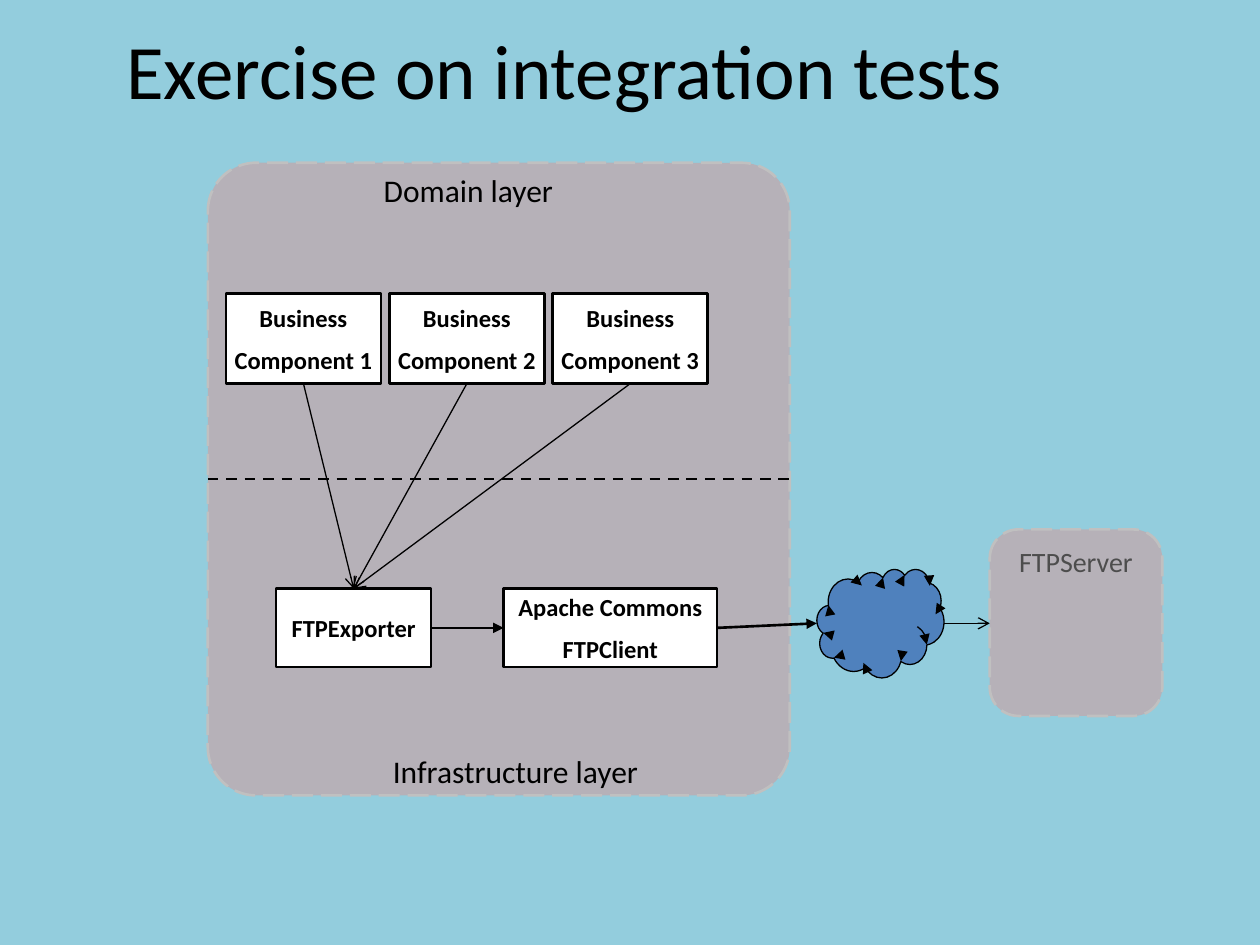
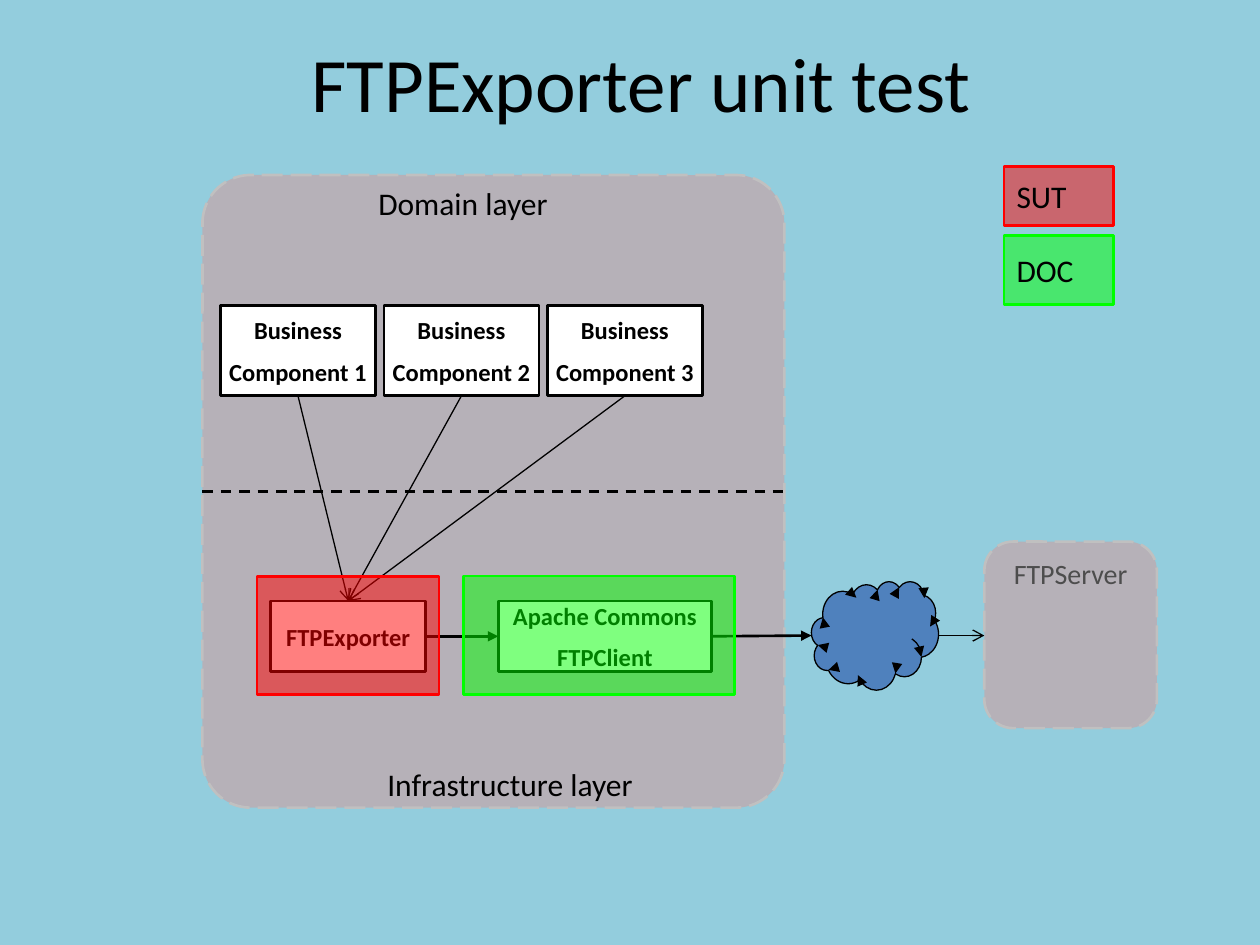
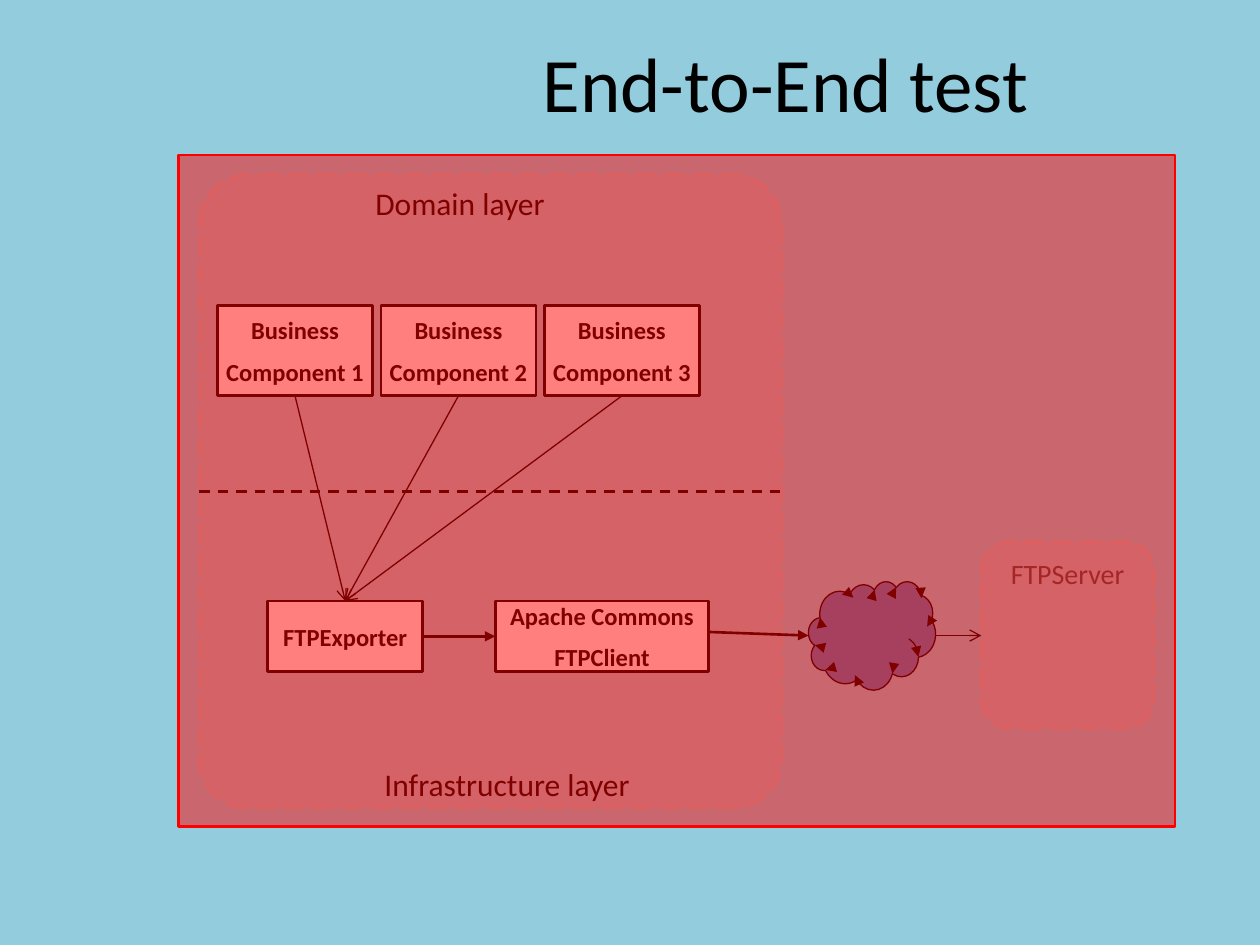
from lxml import etree
from pptx import Presentation
from pptx.dml.color import RGBColor
from pptx.enum.dml import MSO_LINE
from pptx.enum.shapes import MSO_CONNECTOR, MSO_SHAPE
from pptx.enum.text import MSO_ANCHOR, MSO_AUTO_SIZE, PP_ALIGN
from pptx.oxml.ns import qn
from pptx.util import Pt

RECT, ROUND, CLOUD = MSO_SHAPE.RECTANGLE, MSO_SHAPE.ROUNDED_RECTANGLE, MSO_SHAPE.CLOUD
STRAIGHT = MSO_CONNECTOR.STRAIGHT
LEFT, CENTER = PP_ALIGN.LEFT, PP_ALIGN.CENTER
TOP, MIDDLE = MSO_ANCHOR.TOP, MSO_ANCHOR.MIDDLE
DASH, LONG = MSO_LINE.DASH, MSO_LINE.LONG_DASH
FIXED, GROW = MSO_AUTO_SIZE.NONE, MSO_AUTO_SIZE.SHAPE_TO_FIT_TEXT

FONT = "Calibri"
COLORS = {
    "sky": "93CDDD", "rose": "D99694", "silver": "C0C0C0", "white": "FFFFFF",
    "black": "000000", "gray": "4D4D4D", "blue": "4F81BD",
    "red": "FF0000", "green": "00FF00",
}


def color(name):
    """Return the named palette colour."""
    return RGBColor.from_string(COLORS[name])


def write(frame, text, size=14, ink="black", bold=False, align=CENTER,
          anchor=MIDDLE, wrap=False, fit=FIXED, gap=7):
    """Fill a text frame, one paragraph per line of text."""
    frame.word_wrap = wrap
    frame.auto_size = fit
    frame.vertical_anchor = anchor
    for i, line in enumerate(text.split("\n")):
        para = frame.add_paragraph() if i else frame.paragraphs[0]
        para.text = line
        para.alignment = align
        para.space_before = Pt(gap if i else 0)
        font = para.font
        font.name, font.size, font.bold = FONT, Pt(size), bold
        font.color.rgb = color(ink)


class Deck:
    """Hold the shared style and the current slide."""

    def __init__(self):
        """Start a deck with the shared background."""
        self.prs = Presentation()
        self.prs.slide_width, self.prs.slide_height = Pt(720), Pt(540)
        back = self.prs.slide_master.background.fill
        back.solid()
        back.fore_color.rgb = color("sky")

    def start(self, title, x, y, w, h):
        """Add a slide with its title."""
        self.slide = self.prs.slides.add_slide(self.prs.slide_layouts[5])
        head = self.slide.shapes.title
        head.left, head.top, head.width, head.height = map(Pt, (x, y, w, h))
        write(head.text_frame, title, size=44, anchor=TOP, wrap=True)

    def stroke(self, item, ink, width, dash=None, tip=None):
        """Style an outline or a line."""
        item.line.color.rgb = color(ink)
        item.line.width = Pt(width)
        if dash:
            item.line.dash_style = dash
        if tip:
            edge = item.element.spPr.find(qn("a:ln"))
            etree.SubElement(edge, qn("a:tailEnd"), type=tip)

    def shape(self, kind, x, y, w, h, fill, ink="black", width=1.5,
              dash=None, tip=None, clear=False, round=None):
        """Add a preset shape, half transparent when clear."""
        item = self.slide.shapes.add_shape(kind, Pt(x), Pt(y), Pt(w), Pt(h))
        item.shadow.inherit = False
        item.fill.solid()
        item.fill.fore_color.rgb = color(fill)
        if clear:
            tint = item.element.spPr.find(qn("a:solidFill"))[0]
            etree.SubElement(tint, qn("a:alpha"), val="50000")
        if round:
            item.adjustments[0] = round
        self.stroke(item, ink, width, dash, tip)
        return item

    def box(self, text, x, y, w, h):
        """Add a white component box."""
        item = self.shape(RECT, x, y, w, h, "white")
        write(item.text_frame, text, bold=True)

    def panel(self, x, y, w, h, fill, round):
        """Add a dashed rounded area."""
        return self.shape(ROUND, x, y, w, h, fill, "silver", dash=LONG,
                          clear=True, round=round)

    def mask(self, x, y, w, h, tint):
        """Add a see-through coloured frame."""
        return self.shape(RECT, x, y, w, h, tint, tint, clear=True)

    def key(self, text, x, y, w, h, tint):
        """Add a legend entry."""
        item = self.mask(x, y, w, h, tint)
        write(item.text_frame, text, size=18, align=LEFT)

    def label(self, text, x, y, w, h):
        """Add a layer name."""
        item = self.slide.shapes.add_textbox(Pt(x), Pt(y), Pt(w), Pt(h))
        write(item.text_frame, text, size=18, align=LEFT, anchor=TOP, fit=GROW)

    def line(self, x1, y1, x2, y2, width=0.75, dash=None, tip=None):
        """Add a straight line or arrow."""
        item = self.slide.shapes.add_connector(
            STRAIGHT, Pt(x1), Pt(y1), Pt(x2), Pt(y2))
        self.stroke(item, "black", width, dash, tip)
        etree.SubElement(item.element.spPr, qn("a:effectLst"))

    def system(self, x, y, high, out, fill="rose"):
        """Draw the layered system, the cloud and the server."""
        self.panel(x, y, 332.5, 361.5, fill, 0.083)
        port, base, mid = x + 83.3, y + 243.4, y + 263.2
        row = base + high / 2
        self.box("FTPExporter", x + 39, base, 88.6, high)
        self.line(x + 127.6, row, x + 169, row, 1.5, tip="triangle")
        self.line(x + out[0], y + out[1], x + 348, mid, 1.5, tip="triangle")
        self.box("Apache Commons\nFTPClient", x + 169, base, 122, high)
        self.shape(CLOUD, x + 348, y + 232.2, 72.6, 62, "blue",
                   width=0.75, tip="triangle")
        self.line(x + 420.6, mid, x + 446.8, mid, tip="arrow")
        for i in range(3):
            left = x + 10.3 + 93.4 * i
            self.box(f"Business\nComponent {i + 1}", left, y + 74.6, 88.6, 51.6)
            self.line(left + 44.3, y + 126.2, port, base, tip="arrow")
        self.line(x, y + 180.7, x + 332.5, y + 180.7, 1.5, dash=DASH)
        self.label("Infrastructure layer", x + 98.6, y + 333.4, 156.2, 28.8)
        self.label("Domain layer", x + 93.4, y + 1.4, 112.3, 28.8)
        host = self.panel(x + 446.8, y + 209.5, 98.6, 106.6, fill, 0.167)
        write(host.text_frame, "FTPServer", size=16, ink="gray", anchor=TOP)


def main():
    """Build the three slides."""
    deck = Deck()

    deck.start("Exercise on integration tests", -1.4, 9.4, 648, 90)
    deck.system(118.8, 93, 44.8, (291, 265.8))

    deck.start("FTPExporter unit test", 56.2, 16.6, 620.6, 73.4)
    deck.system(115.7, 100, 40.4, (291, 263.6))
    deck.mask(146.9, 329.6, 103.9, 67.4, "red")
    deck.mask(265, 329.2, 154.8, 67.6, "green")
    deck.key("SUT", 573.8, 95, 62.4, 34, "red")
    deck.key("DOC", 573.8, 134.6, 62.4, 39.5, "green")

    deck.start("End-to-End test", 201.6, 16.6, 494.6, 73.4)
    deck.system(114, 100, 40.4, (260, 260), "silver")
    deck.mask(102, 88.6, 569.5, 383.8, "red")

    deck.prs.save("out.pptx")


if __name__ == "__main__":
    main()
